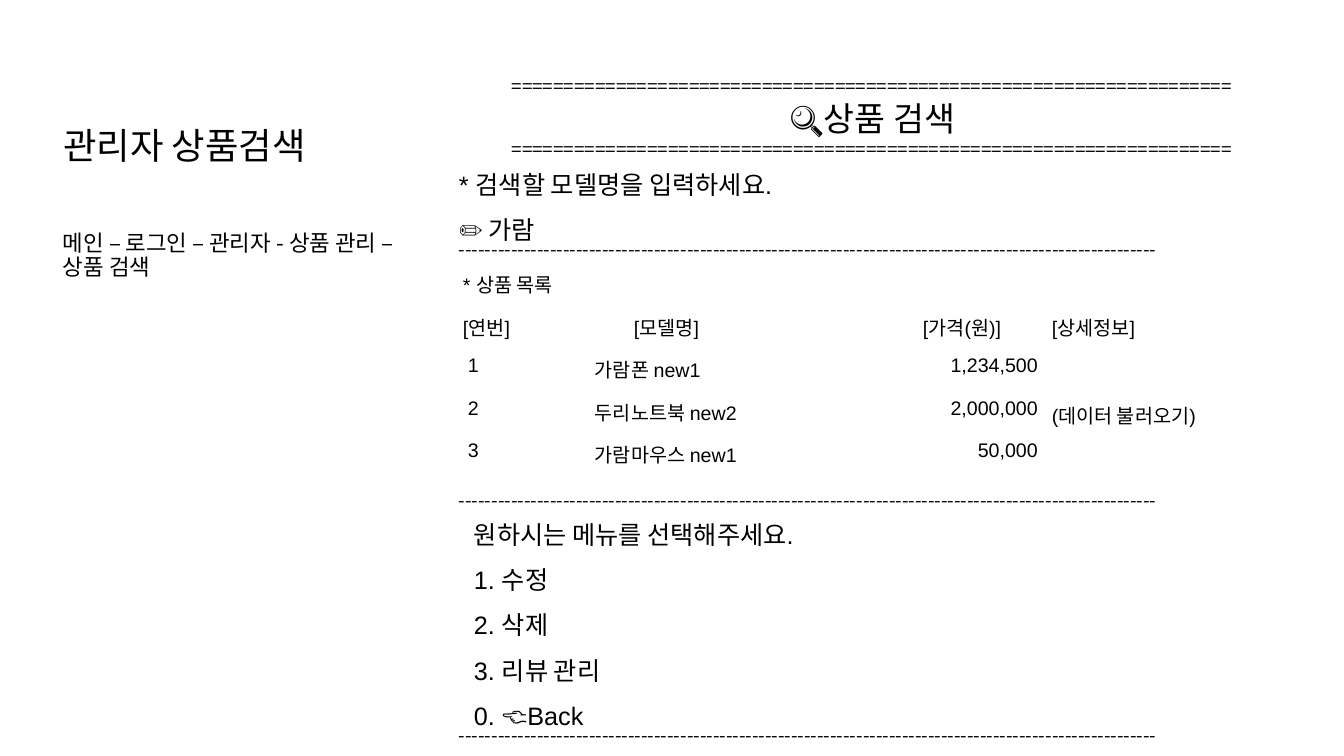
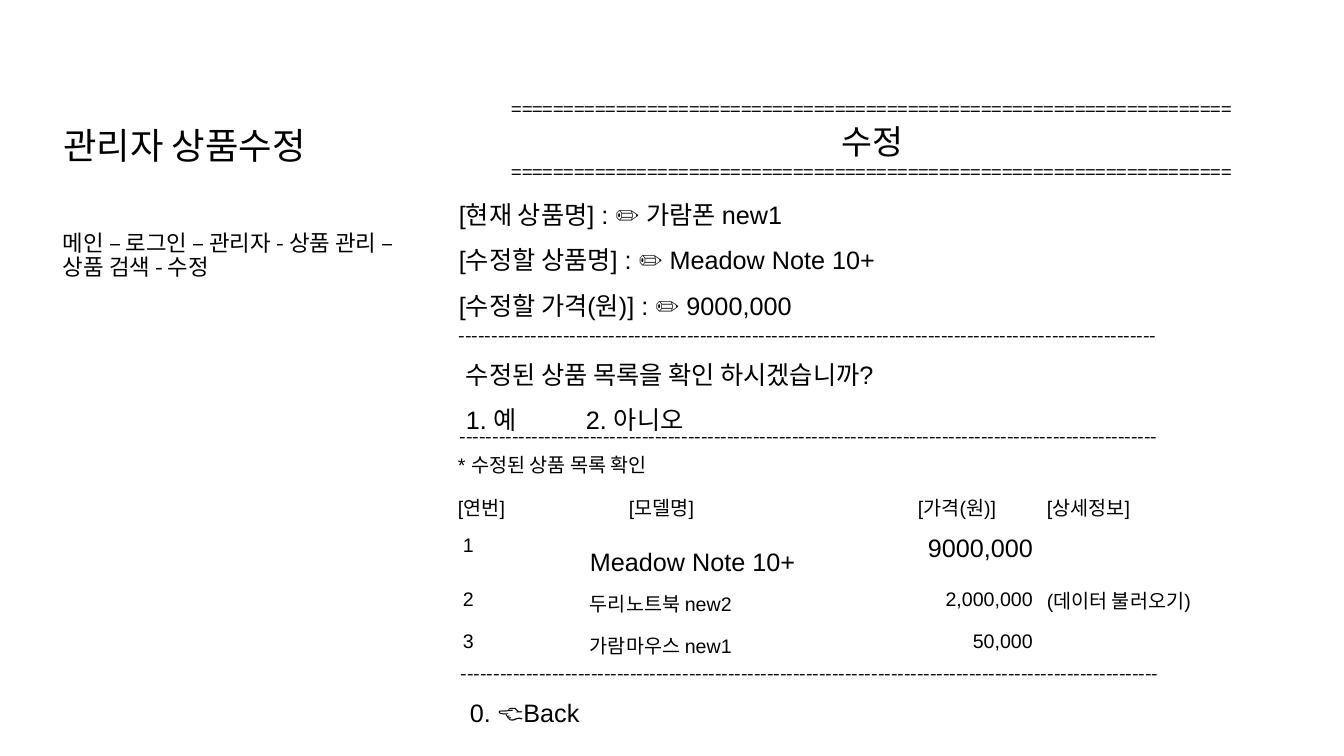
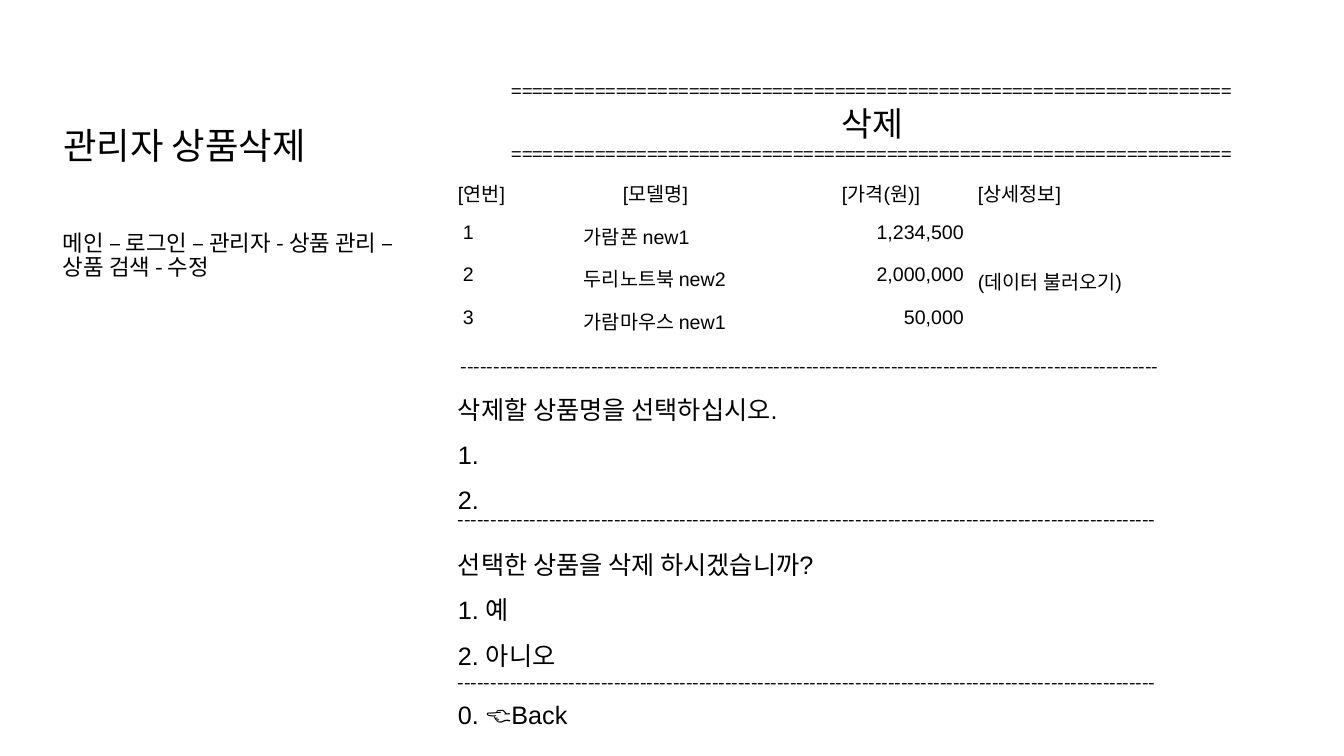
"""Build three product admin screens: search, edit and delete."""
from lxml import etree
from pptx import Presentation
from pptx.dml.color import RGBColor
from pptx.enum.text import MSO_ANCHOR, MSO_AUTO_SIZE, PP_ALIGN
from pptx.oxml.ns import qn
from pptx.util import Pt

LEFT, MID, RIGHT = PP_ALIGN.LEFT, PP_ALIGN.CENTER, PP_ALIGN.RIGHT
TOP, CENTER = MSO_ANCHOR.TOP, MSO_ANCHOR.MIDDLE
FIXED = MSO_AUTO_SIZE.NONE
PX = 914400 / 100.8
INK = "000000"
NOTO, ARIAL = "Noto Sans CJK KR", "Arial"
TAB = 120
DOUBLE, DASH = "=" * 69, "-" * 107
HEADS = ["[연번]", "[모델명]", "[가격(원)]", "[상세정보]"]
INDENT = [0, 39, 17, 0]
LOAD = "(데이터 불러오기)"
BACK = "0. 👈Back"
TRAIL = "메인 – 로그인 – 관리자 - 상품 관리 – 상품 검색"
ITEMS = [["1", "가람폰 new1", "1,234,500"],
         ["2", "두리노트북 new2", "2,000,000"],
         ["3", "가람마우스 new1", "50,000"]]
EDITED = [["1", "Meadow Note 10+", "9000,000"]] + ITEMS[1:]

SCREENS = [
    {"title": "관리자 상품검색", "trail": TRAIL, "head": "🔍상품 검색", "top": 70,
     "rules": [(449, 233), (449, 484), (449, 719)],
     "texts": [(449, 149, 387, ["* 검색할 모델명을 입력하세요.", "✏ 가람"]),
               (464, 499, 387, ["원하시는 메뉴를 선택해주세요.", "1. 수정", "2. 삭제",
                                "3. 리뷰 관리", BACK])],
     "grid": (456, 266), "cols": [132, 311, 146, 297],
     "note": "* 상품 목록", "items": ITEMS},
    {"title": "관리자 상품수정", "trail": TRAIL + " - 수정", "head": "수정", "top": 93,
     "rules": [(449, 319), (450, 420), (451, 657)],
     "texts": [(449, 179, 866, ["[현재 상품명] : ✏ 가람폰 new1",
                                "[수정할 상품명] : ✏ Meadow Note 10+",
                                "[수정할 가격(원)] : ✏ 9000,000"]),
               (456, 339, 604, ["수정된 상품 목록을 확인 하시겠습니까?",
                                "1. 예\t2. 아니오"]),
               (460, 677, 387, [BACK])],
     "grid": (451, 446), "cols": [132, 311, 146, 297],
     "note": "* 수정된 상품 목록 확인", "items": EDITED},
    {"title": "관리자 상품삭제", "trail": TRAIL + " - 수정", "head": "삭제", "top": 75,
     "rules": [(451, 350), (448, 503), (448, 666)],
     "texts": [(448, 374, 604, ["삭제할 상품명을 선택하십시오.", "1.", "2."]),
               (448, 529, 604, ["선택한 상품을 삭제 하시겠습니까?", "1. 예", "2. 아니오"]),
               (448, 679, 387, [BACK])],
     "grid": (451, 175), "cols": [126, 241, 153, 328],
     "note": None, "items": ITEMS},
]


def write(frame, lines, size, font, align=LEFT, space=1.0, before=0):
    """Fill a text frame with one paragraph per line."""
    for i, line in enumerate(lines):
        para = frame.paragraphs[0] if i == 0 else frame.add_paragraph()
        para.alignment = align
        para.line_spacing = space
        para.space_before = Pt(before)
        if "\t" in line:
            stops = etree.SubElement(para._p.get_or_add_pPr(), qn("a:tabLst"))
            etree.SubElement(stops, qn("a:tab"), pos=str(round(TAB * PX)), algn="l")
        run = para.add_run()
        run.text = line
        run.font.size = Pt(size)
        run.font.name = font
        run.font.color.rgb = RGBColor.from_string(INK)
        east = etree.SubElement(run._r.get_or_add_rPr(), qn("a:ea"))
        east.set("typeface", NOTO)


def box(slide, area, lines, size, font, **style):
    """Add a wrapped text box at a pixel area."""
    shape = slide.shapes.add_textbox(*[round(n * PX) for n in area])
    shape.text_frame.word_wrap = True
    write(shape.text_frame, lines, size, font, **style)


deck = Presentation()
deck.slide_width, deck.slide_height = round(1344 * PX), round(756 * PX)

for screen in SCREENS:
    slide = deck.slides.add_slide(deck.slide_layouts[5])
    title = slide.shapes.title
    title.left, title.top, title.width, title.height = [
        round(n * PX) for n in (53, 118, 290, 54)]
    frame = title.text_frame
    frame.word_wrap, frame.auto_size, frame.vertical_anchor = False, FIXED, TOP
    write(frame, [screen["title"]], 26, NOTO)
    box(slide, (53, 227, 351, 279), [screen["trail"]], 16, NOTO, space=0.9, before=10)

    top = screen["top"]
    box(slide, (719, top + 23, 307, 50), [screen["head"]], 24, NOTO, align=MID)
    for y in (top, top + 63):
        box(slide, (400, y, 944, 33), [DOUBLE], 13.5, NOTO, align=MID)
    for x, y in screen["rules"]:
        box(slide, (x, y, 847, 33), [DASH], 13.5, NOTO)
    for x, y, width, lines in screen["texts"]:
        box(slide, (x, y, width, 46 * len(lines)), lines, 18, ARIAL, space=1.5)

    rows = [HEADS] + [item + [""] for item in screen["items"]]
    rows[1][3] = LOAD
    if screen["note"]:
        rows.insert(0, [screen["note"], "", "", ""])
    first = len(rows) - 3
    x, y = screen["grid"]
    area = (x, y, sum(screen["cols"]), 42.5 * len(rows))
    table = slide.shapes.add_table(len(rows), 4, *[round(n * PX) for n in area]).table
    table.first_row = table.horz_banding = False
    for col, width in zip(table.columns, screen["cols"]):
        col.width = round(width * PX)
    if screen["note"]:
        table.cell(0, 0).merge(table.cell(0, 3))
    table.cell(first, 3).merge(table.cell(first + 2, 3))
    for r, row in enumerate(rows):
        for c, text in enumerate(row):
            cell = table.cell(r, c)
            cell.fill.background()
            shift = INDENT[c] if row is HEADS else 5 if r >= first and c == 0 else 0
            cell.margin_left, cell.margin_right = round((7 + shift) * PX), round(7 * PX)
            cell.margin_top = cell.margin_bottom = round(4 * PX)
            if not text:
                continue
            large = screen["items"] is EDITED and r == first and c in (1, 2)
            write(cell.text_frame, [text], 18 if large else 14, ARIAL,
                  align=RIGHT if r >= first and c == 2 else LEFT,
                  space=1.5 if large and c == 1 else 1.0)
            if text == LOAD:
                cell.vertical_anchor = CENTER
    if screen["items"] is EDITED:
        table.rows[first].height = round(47 * PX)

deck.save("out.pptx")
